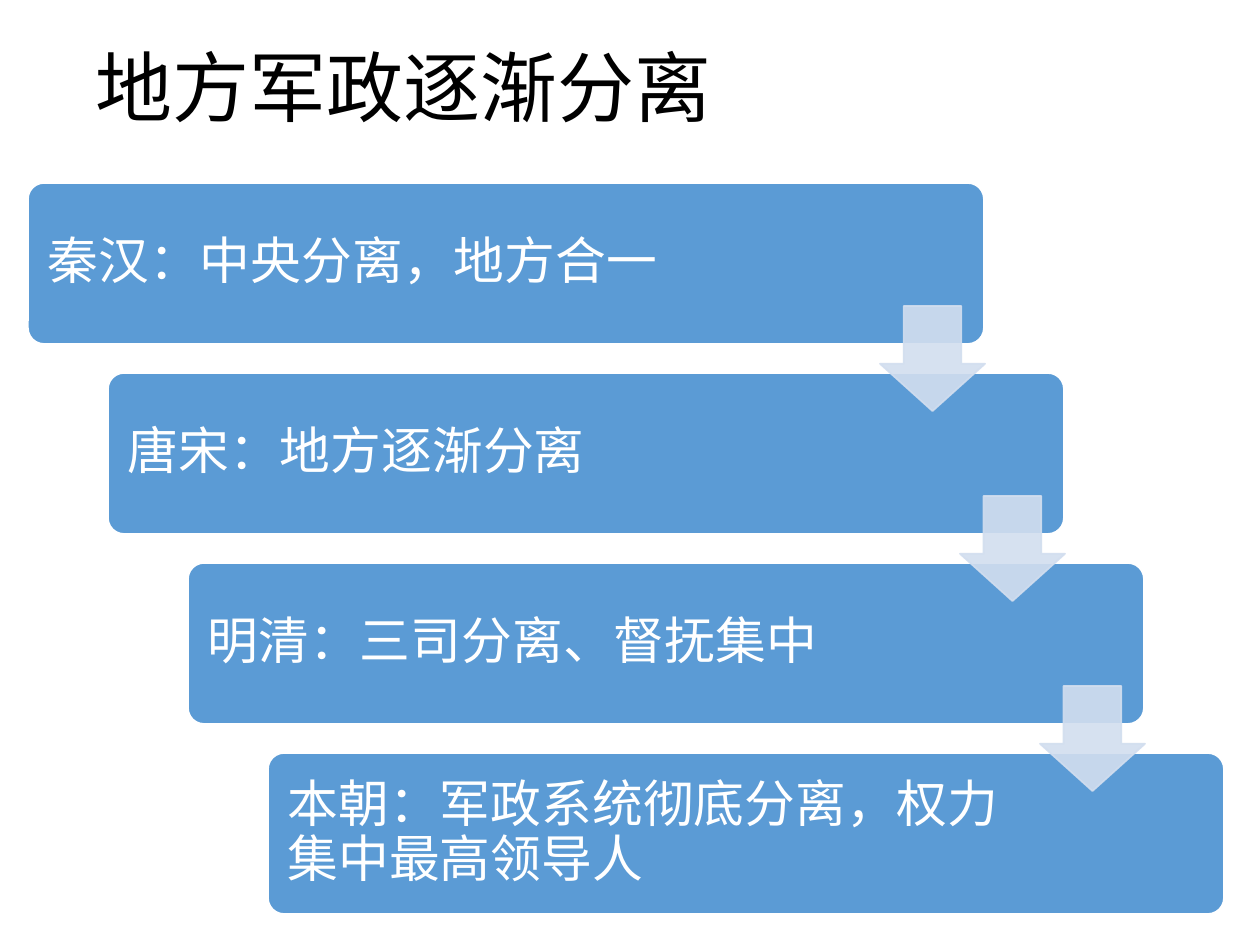
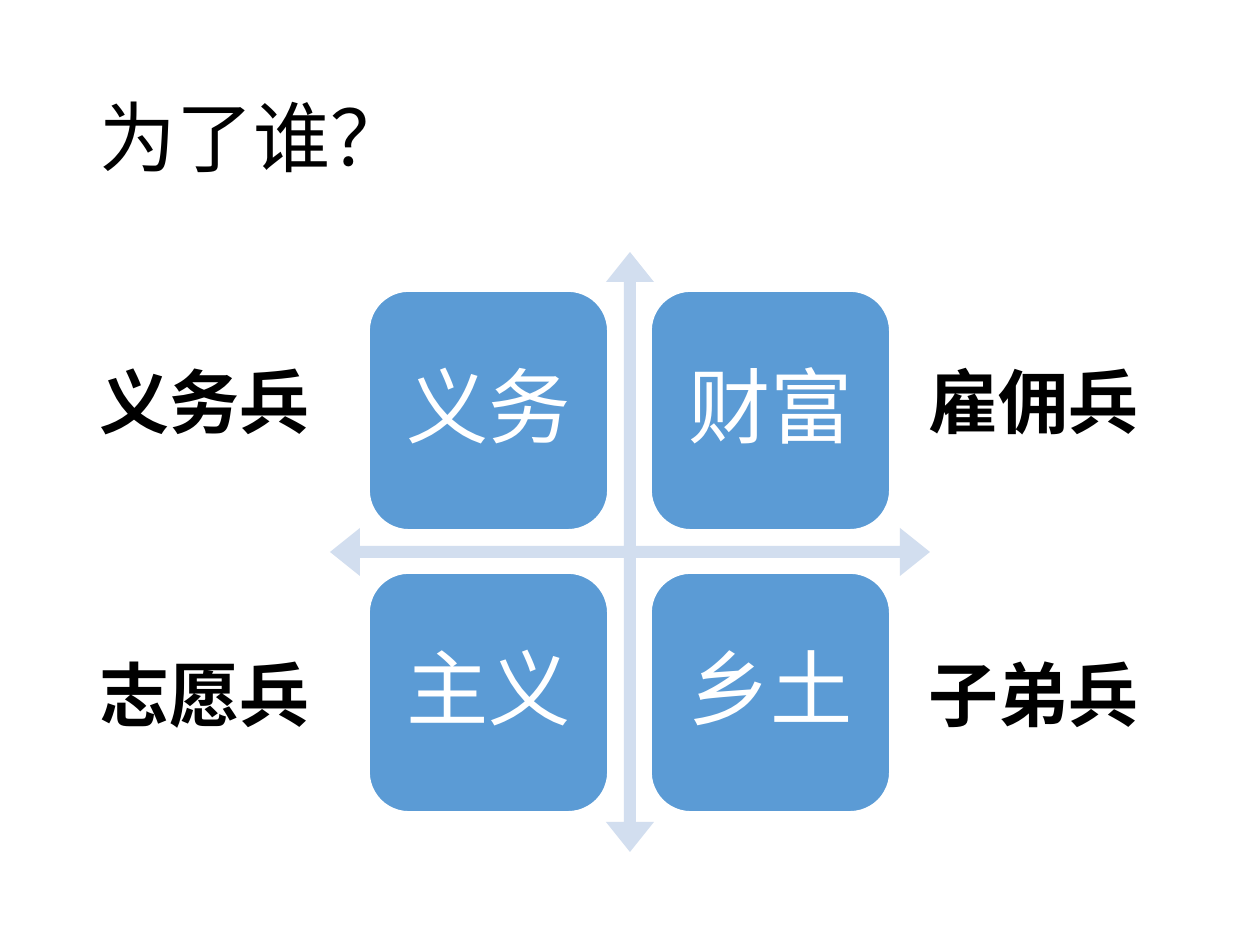
from lxml.etree import SubElement
from pptx import Presentation
from pptx.dml.color import RGBColor
from pptx.enum.shapes import MSO_SHAPE as Shape
from pptx.enum.text import MSO_ANCHOR as Anchor, PP_ALIGN as Align
from pptx.oxml.ns import qn
from pptx.util import Pt

PX = 914400 / 126
BLACK, WHITE, BLUE, PALE = "000000", "FFFFFF", "5B9BD5", "D2DEEF"
TITLE = {"size": Pt(44), "color": BLACK}
STEP = {"size": Pt(29), "color": WHITE}
TILE = {"size": Pt(47), "color": WHITE}
LABEL = {"size": Pt(40), "color": BLACK, "bold": True}


def add_box(slide, kind, bounds, fill=None, line=None, adjustments=()):
    """Add a preset shape, or a text box if kind is None; bounds are in px."""
    bounds = [round(length * PX) for length in bounds]
    if kind is None:
        return slide.shapes.add_textbox(*bounds)
    box = slide.shapes.add_shape(kind, *bounds)
    box.shadow.inherit = False
    for index, value in enumerate(adjustments):
        box.adjustments[index] = value
    box.fill.solid()
    box.fill.fore_color.rgb = RGBColor.from_string(fill)
    if line:
        box.line.color.rgb = RGBColor.from_string(line)
        box.line.width = Pt(1)
    else:
        box.line.fill.background()
    return box


def write(box, text, style, align=Align.LEFT, spacing=0.9, anchor=Anchor.MIDDLE, insets=()):
    """Put one paragraph in a box; insets are left, top, right, bottom in px."""
    frame = box.text_frame
    frame.word_wrap = True
    frame.vertical_anchor = anchor
    for side, inset in zip(("left", "top", "right", "bottom"), insets):
        setattr(frame, f"margin_{side}", round(inset * PX))
    para = frame.paragraphs[0]
    para.alignment = align
    para.line_spacing = spacing
    span = para.add_run()
    span.text = text
    span.font.name = "Calibri"
    for name, value in style.items():
        if name == "color":
            span.font.color.rgb = RGBColor.from_string(value)
        else:
            setattr(span.font, name, value)


deck = Presentation()
deck.slide_width, deck.slide_height = round(1260 * PX), round(945 * PX)
blank = deck.slide_layouts[6]

# Slide 1: descending steps joined by arrows
slide = deck.slides.add_slide(blank)
write(add_box(slide, None, (83, 0, 1086, 183)), "地方军政逐渐分离", TITLE)

steps = [
    "秦汉：中央分离，地方合一",
    "唐宋：地方逐渐分离",
    "明清：三司分离、督抚集中",
    "本朝：军政系统彻底分离，权力集中最高领导人",
]
STEP_X, STEP_Y = 80, 190
for index, text in enumerate(steps):
    bounds = (28 + index * STEP_X, 183 + index * STEP_Y, 956, 161)
    card = add_box(slide, Shape.ROUNDED_RECTANGLE, bounds, BLUE, WHITE, [0.1])
    write(card, text, STEP, insets=(15, 15, 192, 15))

for index in range(len(steps) - 1):
    bounds = (880 + index * STEP_X, 306 + index * STEP_Y, 105, 105)
    arrow = add_box(slide, Shape.DOWN_ARROW, bounds, PALE, PALE, [0.55, 0.45])
    for color in arrow.element.spPr.iter(qn("a:srgbClr")):
        SubElement(color, qn("a:alpha")).set("val", "90000")

# Slide 2: four motives around crossed axes, each with its kind of soldier
slide = deck.slides.add_slide(blank)
write(add_box(slide, None, (87, 50, 1086, 183)), "为了谁？", TITLE)
add_box(slide, Shape.QUAD_ARROW, (330, 252, 600, 600), PALE, adjustments=[0.02, 0.04, 0.05])

motives = [
    [("义务", "义务兵"), ("财富", "雇佣兵")],
    [("主义", "志愿兵"), ("乡土", "子弟兵")],
]
TILE_STEP = 282
for row, pairs in enumerate(motives):
    for column, (motive, soldier) in enumerate(pairs):
        bounds = (369 + column * TILE_STEP, 291 + row * TILE_STEP, 239, 239)
        tile = add_box(slide, Shape.ROUNDED_RECTANGLE, bounds, BLUE, WHITE)
        write(tile, motive, TILE, align=Align.CENTER, insets=[24] * 4)
        label = add_box(slide, None, (87 + column * 829, 352 + row * 293, 241, 97))
        write(label, soldier, LABEL, spacing=1.0, anchor=Anchor.TOP)

deck.save("out.pptx")
